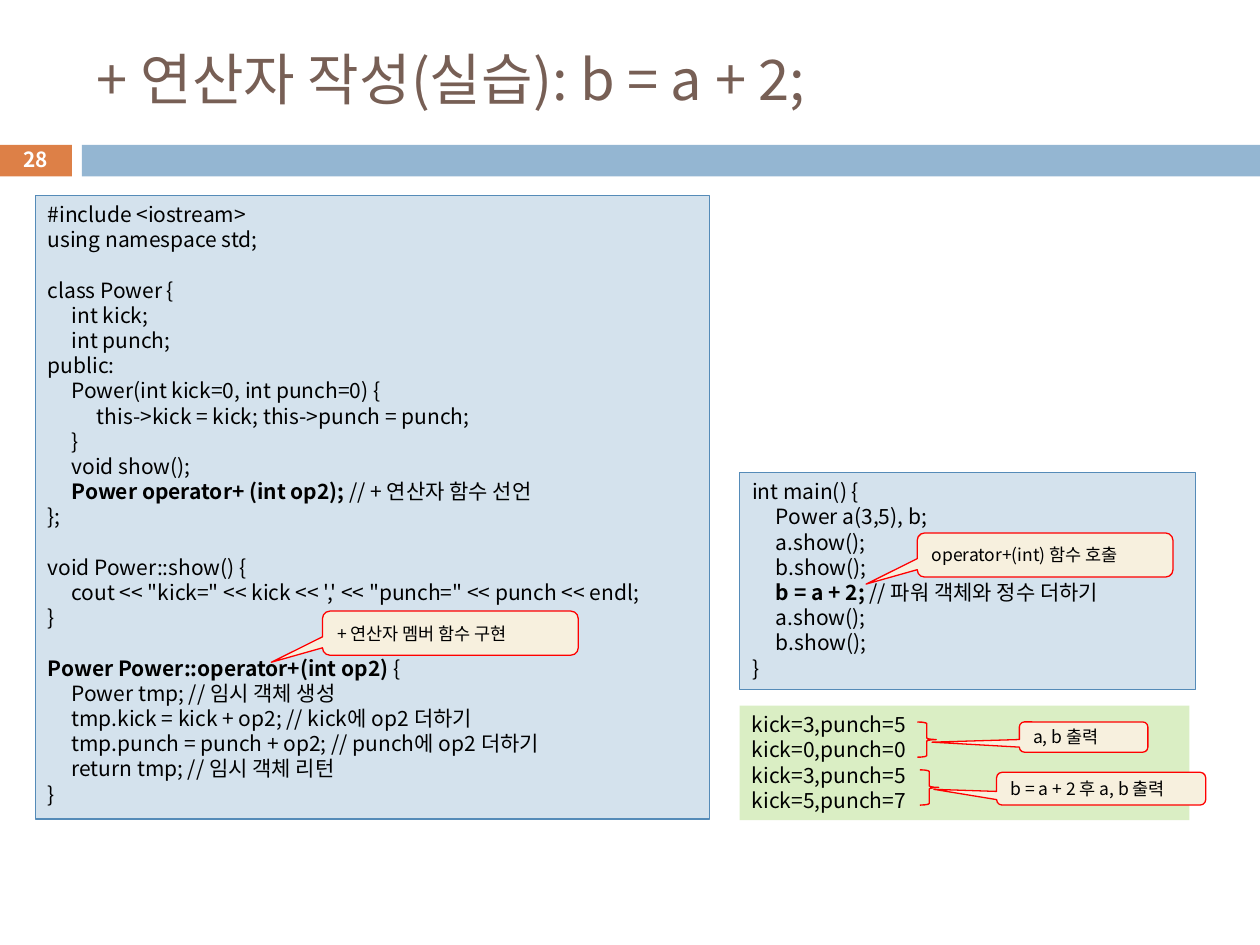
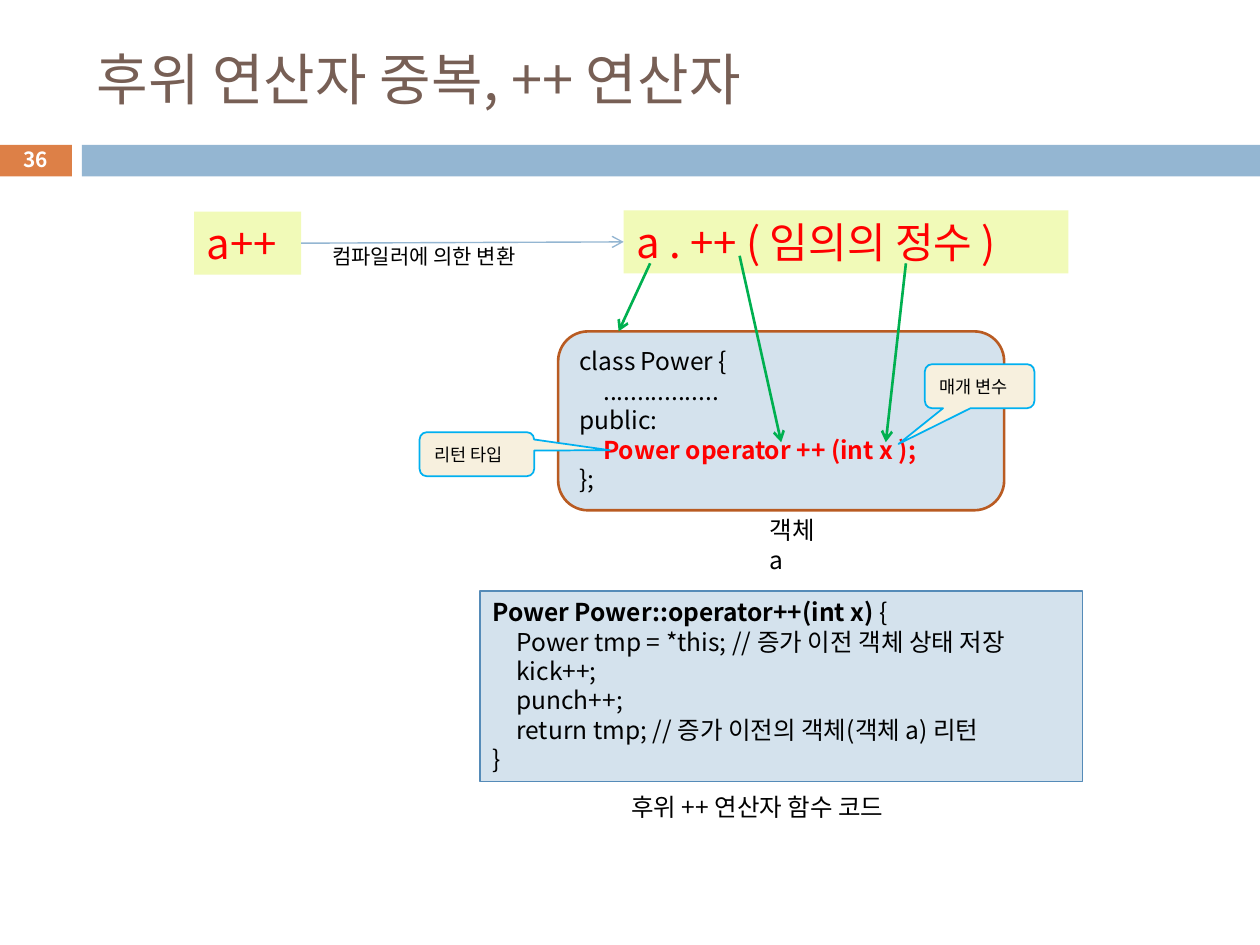
from lxml import etree
from pptx import Presentation
from pptx.dml.color import RGBColor
from pptx.enum.shapes import MSO_CONNECTOR, MSO_SHAPE
from pptx.enum.text import MSO_ANCHOR, PP_ALIGN
from pptx.oxml.ns import qn
from pptx.util import Inches, Pt

RECTANGLE = MSO_SHAPE.RECTANGLE
ROUNDED = MSO_SHAPE.ROUNDED_RECTANGLE
CALLOUT = MSO_SHAPE.ROUNDED_RECTANGULAR_CALLOUT
BRACE = MSO_SHAPE.RIGHT_BRACE
STRAIGHT = MSO_CONNECTOR.STRAIGHT
TOP = MSO_ANCHOR.TOP
MIDDLE = MSO_ANCHOR.MIDDLE
CENTER = PP_ALIGN.CENTER

FONT = "Noto Sans CJK KR"
LINE_SPACING = 1.2
TAB_STOPS = (0.19, 0.39)
BLACK = RGBColor(0x00, 0x00, 0x00)
WHITE = RGBColor(0xFF, 0xFF, 0xFF)
RED = RGBColor(0xFF, 0x00, 0x00)
GREEN = RGBColor(0x00, 0xB0, 0x50)
CYAN = RGBColor(0x00, 0xB0, 0xF0)
BROWN = RGBColor(0x77, 0x5F, 0x55)
ORANGE = RGBColor(0xDD, 0x80, 0x47)
RUST = RGBColor(0xB9, 0x5B, 0x22)
BAND_BLUE = RGBColor(0x94, 0xB6, 0xD2)
CODE_FILL = RGBColor(0xD4, 0xE2, 0xED)
CODE_LINE = RGBColor(0x55, 0x8B, 0xB8)
OUTPUT_FILL = RGBColor(0xDA, 0xEE, 0xC4)
CALLOUT_FILL = RGBColor(0xF7, 0xF0, 0xDE)
EXPRESSION_FILL = RGBColor(0xF1, 0xFA, 0xB8)

POWER_CODE = """#include <iostream>
using namespace std;

class Power {
    int kick;
    int punch;
public:
    Power(int kick=0, int punch=0) {
        this->kick = kick; this->punch = punch;
    }
    void show();
    |Power operator+ (int op2); |// + 연산자 함수 선언
};

void Power::show() {
    cout << "kick=" << kick << ',' << "punch=" << punch << endl;
}

|Power Power::operator+(int op2) |{
    Power tmp; // 임시 객체 생성
    tmp.kick = kick + op2; // kick에 op2 더하기
    tmp.punch = punch + op2; // punch에 op2 더하기
    return tmp; // 임시 객체 리턴
}"""

MAIN_CODE = """int main() {
    Power a(3,5), b;
    a.show();
    b.show();
    |b = a + 2; |// 파워 객체와 정수 더하기
    a.show();
    b.show();
}"""

OUTPUT = """kick=3,punch=5
kick=0,punch=0
kick=3,punch=5
kick=5,punch=7"""

POSTFIX_CODE = """|Power Power::operator++(int x) |{
    Power tmp = *this; // 증가 이전 객체 상태 저장
    kick++;
    punch++;
    return tmp; // 증가 이전의 객체(객체 a) 리턴
}"""

CLASS_CODE = """class Power {
    .................
public:
    |Power operator ++ (int x );
};"""


def add_shape(slide, preset, box, fill=None, line=None, width=0.75, adjustments=()):
    shape = slide.shapes.add_shape(preset, *map(Inches, box))
    shape.shadow.inherit = False
    for index, value in enumerate(adjustments):
        shape.adjustments[index] = value
    if fill is None:
        shape.fill.background()
    else:
        shape.fill.solid()
        shape.fill.fore_color.rgb = fill
    if line is None:
        shape.line.fill.background()
    else:
        shape.line.color.rgb = line
        shape.line.width = Pt(width)
    return shape


def write_text(shape, text, size, color=BLACK, anchor=TOP, align=PP_ALIGN.LEFT, bold=False, strong_color=None):
    frame = shape.text_frame
    frame.word_wrap = True
    frame.vertical_anchor = anchor
    blocks = [block.split("\n") for block in text.replace("    ", "\t").split("\n\n")]
    paragraph = None
    for block_index, block in enumerate(blocks):
        for line_index, line in enumerate(block):
            paragraph = frame.add_paragraph() if paragraph else frame.paragraphs[0]
            paragraph.alignment = align
            paragraph.line_spacing = Pt(size * LINE_SPACING)
            if block_index and not line_index:
                paragraph.space_before = Pt(size * LINE_SPACING)
            if "\t" in line:
                properties = paragraph._p.get_or_add_pPr()
                tab_list = etree.SubElement(properties, qn("a:tabLst"))
                for stop in TAB_STOPS:
                    etree.SubElement(tab_list, qn("a:tab"), pos=str(Inches(stop)), algn="l")
            for part_index, part in enumerate(line.split("|")):
                if not part:
                    continue
                strong = part_index % 2 == 1
                run = paragraph.add_run()
                run.text = part
                run.font.size = Pt(size)
                run.font.bold = bold or strong
                run.font.color.rgb = strong_color if strong and strong_color else color
                run.font.name = FONT
                latin = run._r.rPr.find(qn("a:latin"))
                latin.addnext(etree.Element(qn("a:ea"), typeface=FONT))


presentation = Presentation()
presentation.slide_width = Inches(10)
presentation.slide_height = Inches(7.5)

slides = []
for title, number in (("+ 연산자 작성(실습): b = a + 2;", "28"), ("후위 연산자 중복, ++ 연산자", "36")):
    slide = presentation.slides.add_slide(presentation.slide_layouts[6])
    add_shape(slide, RECTANGLE, (-0.01, 1.15, 0.58, 0.25), ORANGE)
    add_shape(slide, RECTANGLE, (0.65, 1.15, 9.35, 0.25), BAND_BLUE)
    title_box = slide.shapes.add_textbox(*map(Inches, (0.67, 0.25, 8.92, 0.74)))
    write_text(title_box, title, 32, BROWN, MIDDLE)
    number_box = slide.shapes.add_textbox(*map(Inches, (-0.01, 1.13, 0.58, 0.27)))
    write_text(number_box, number, 11.9, WHITE, MIDDLE, CENTER, bold=True)
    slides.append(slide)
plus_slide, postfix_slide = slides

for slide, box, code, size in (
    (plus_slide, (0.28, 1.55, 5.35, 4.95), POWER_CODE, 12),
    (plus_slide, (5.87, 3.75, 3.62, 1.72), MAIN_CODE, 12),
    (postfix_slide, (3.81, 4.69, 4.78, 1.51), POSTFIX_CODE, 14),
):
    write_text(add_shape(slide, RECTANGLE, box, CODE_FILL, CODE_LINE), code, size)

output_box = add_shape(plus_slide, RECTANGLE, (5.87, 5.6, 3.57, 0.91), OUTPUT_FILL)
write_text(output_box, OUTPUT, 12)
for left, top in ((7.28, 5.73), (7.3, 6.11)):
    add_shape(plus_slide, BRACE, (left, top, 0.15, 0.28), line=RED, width=0.79)

class_box = add_shape(postfix_slide, ROUNDED, (4.43, 2.63, 3.54, 1.42), CODE_FILL, RUST, 1.5)
write_text(class_box, CLASS_CODE, 14, strong_color=RED)

for box, expression in (
    ((1.54, 1.68, 0.85, 0.5), "a++"),
    ((4.95, 1.67, 3.53, 0.5), "a . ++ ( 임의의 정수 )"),
):
    write_text(add_shape(postfix_slide, RECTANGLE, box, EXPRESSION_FILL), expression, 24, RED)

for box, label, size, right_margin in (
    ((2.54, 1.88, 2.06, 0.3), "컴파일러에 의한 변환", 12, 0.1),
    ((6.01, 4.04, 0.76, 0.34), "객체 a", 14, 0.28),
    ((4.91, 6.24, 2.52, 0.34), "후위 ++ 연산자 함수 코드", 14, 0.1),
):
    label_box = postfix_slide.shapes.add_textbox(*map(Inches, box))
    label_box.text_frame.margin_right = Inches(right_margin)
    write_text(label_box, label, size)

for start, end, color, width in (
    ((2.39, 1.93), (4.95, 1.92), BAND_BLUE, 0.79),
    ((5.87, 2.03), (6.2, 3.51), GREEN, 1.5),
    ((5.16, 2.09), (4.91, 2.63), GREEN, 1.5),
    ((7.19, 2.09), (7.03, 3.51), GREEN, 1.5),
):
    arrow = postfix_slide.shapes.add_connector(STRAIGHT, *map(Inches, start + end))
    arrow.line.color.rgb = color
    arrow.line.width = Pt(width)
    etree.SubElement(arrow.line._get_or_add_ln(), qn("a:tailEnd"), type="arrow")
    etree.SubElement(arrow._element.spPr, qn("a:effectLst"))

for slide, box, pointer, note, color, width in (
    (plus_slide, (8.09, 5.73, 1.02, 0.24), (-1.18, 0.17), "a, b 출력", RED, 0.75),
    (plus_slide, (7.91, 6.13, 1.66, 0.26), (-0.8, 0.02), "b = a + 2 후 a, b 출력", RED, 0.75),
    (plus_slide, (2.56, 4.85, 2.03, 0.35), (-0.7, 0.66), "+ 연산자 멤버 함수 구현", RED, 0.75),
    (plus_slide, (7.28, 4.23, 2.03, 0.35), (-0.7, 0.66), "operator+(int) 함수 호출", RED, 0.75),
    (postfix_slide, (3.33, 3.43, 0.91, 0.35), (1.16, -0.09), "리턴 타입", CYAN, 1),
    (postfix_slide, (7.34, 2.89, 0.87, 0.35), (-0.74, 1.31), "매개 변수", CYAN, 1),
):
    callout = add_shape(slide, CALLOUT, box, CALLOUT_FILL, color, width, pointer)
    write_text(callout, note, 10, anchor=MIDDLE)

presentation.save("out.pptx")
